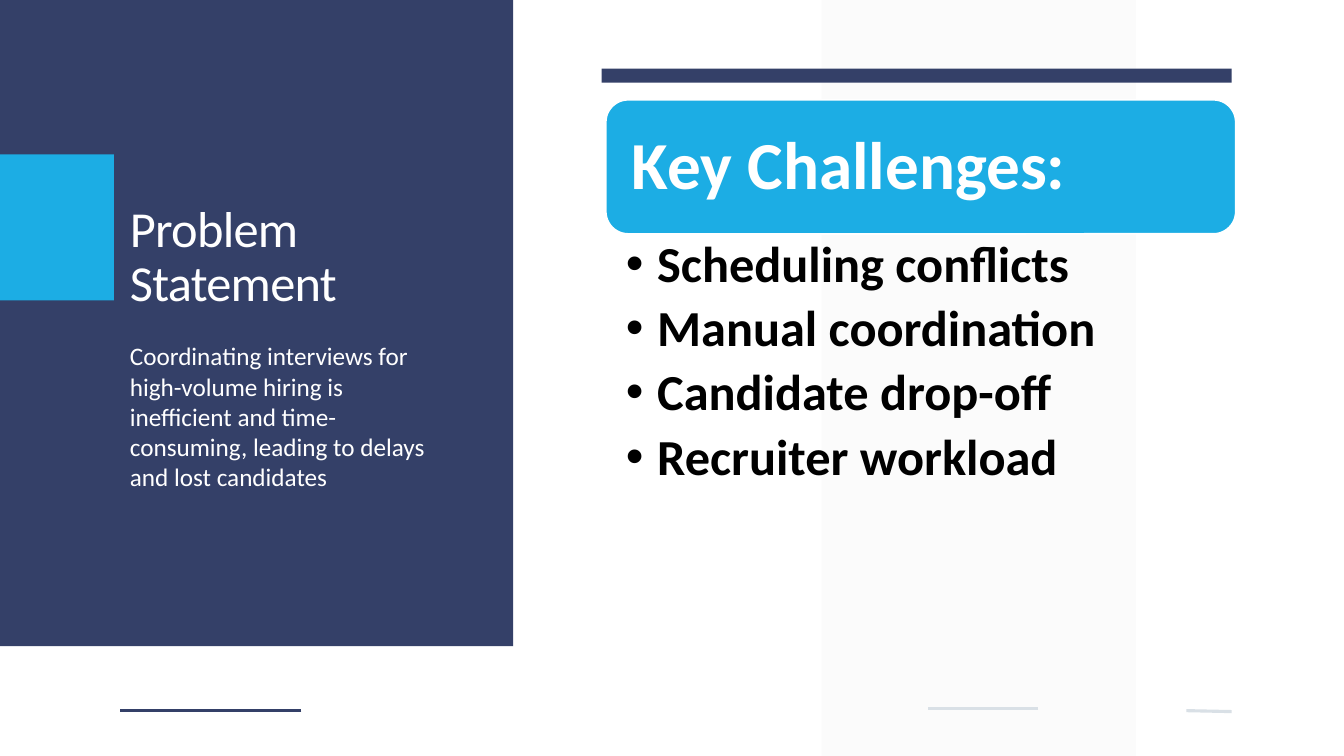
from lxml import etree
from pptx import Presentation
from pptx.dml.color import RGBColor
from pptx.enum.shapes import MSO_CONNECTOR, MSO_SHAPE
from pptx.enum.text import MSO_ANCHOR
from pptx.oxml.ns import qn
from pptx.util import Pt

RECTANGLE = MSO_SHAPE.RECTANGLE
ROUNDED = MSO_SHAPE.ROUNDED_RECTANGLE
STRAIGHT = MSO_CONNECTOR.STRAIGHT
TOP, MIDDLE, BOTTOM = MSO_ANCHOR.TOP, MSO_ANCHOR.MIDDLE, MSO_ANCHOR.BOTTOM

NAVY, CYAN, PALE, BAND = "344068", "1CADE4", "D9E0E6", "F2F2F2"
WHITE, BLACK = "FFFFFF", "000000"
CHALLENGES = ["Scheduling conflicts", "Manual coordination",
              "Candidate drop-off", "Recruiter workload"]


def color(hex_string):
    return RGBColor.from_string(hex_string)


def set_attributes(target, values):
    for name, value in values.items():
        setattr(target, name, value)


class SlideBuilder:
    font_name = "Calibri"
    line_width = 2.25

    def __init__(self, slide):
        self.slide = slide

    def block(self, left, top, width, height, fill, kind=RECTANGLE, opacity=None, outline=None):
        """Add a filled shape; opacity is a percentage."""
        shape = self.slide.shapes.add_shape(kind, Pt(left), Pt(top), Pt(width), Pt(height))
        shape.shadow.inherit = False
        shape.fill.solid()
        shape.fill.fore_color.rgb = color(fill)
        if opacity is not None:
            fill_color = shape.fill._xPr.find(qn("a:solidFill"))[0]
            etree.SubElement(fill_color, qn("a:alpha"), val=str(opacity * 1000))
        if outline:
            shape.line.color.rgb = color(outline)
            shape.line.width = Pt(1.25)
        else:
            shape.line.fill.background()
        return shape

    def rule(self, start_x, start_y, end_x, end_y, stroke):
        line = self.slide.shapes.add_connector(
            STRAIGHT, Pt(start_x), Pt(start_y), Pt(end_x), Pt(end_y))
        line.line.color.rgb = color(stroke)
        line.line.width = Pt(self.line_width)
        etree.SubElement(line._element.spPr, qn("a:effectLst"))

    def text(self, left, top, width, height, lines, size, fill, bold=False, anchor=TOP,
             insets=(7.2, 3.6, 7.2, 3.6), spacing=None, bullet_indent=None, tracking=None):
        """Add a text box with one paragraph per line; insets run left, top, right, bottom."""
        box = self.slide.shapes.add_textbox(Pt(left), Pt(top), Pt(width), Pt(height))
        frame = box.text_frame
        sides = ("margin_left", "margin_top", "margin_right", "margin_bottom")
        set_attributes(frame, {"word_wrap": True, "vertical_anchor": anchor,
                               **{side: Pt(inset) for side, inset in zip(sides, insets)}})
        for index, line in enumerate(lines):
            paragraph = frame.paragraphs[0] if index == 0 else frame.add_paragraph()
            set_attributes(paragraph, spacing or {})
            run = paragraph.add_run()
            run.text = line
            set_attributes(run.font, {"name": self.font_name, "size": Pt(size), "bold": bold})
            run.font.color.rgb = color(fill)
            if tracking is not None:
                run.font._element.set("spc", str(round(tracking * 100)))
            if bullet_indent:
                self.add_bullet(paragraph, bullet_indent)

    def add_bullet(self, paragraph, indent):
        properties = paragraph._p.get_or_add_pPr()
        properties.set("marL", str(Pt(indent)))
        properties.set("indent", str(-Pt(indent)))
        etree.SubElement(properties, qn("a:buFont"), typeface="Arial")
        etree.SubElement(properties, qn("a:buChar"), char="•")


def main():
    presentation = Presentation()
    set_attributes(presentation, {"slide_width": Pt(960), "slide_height": Pt(540)})
    builder = SlideBuilder(presentation.slides.add_slide(presentation.slide_layouts[6]))

    builder.block(586.8, 0, 224.64, 540, BAND, opacity=30)
    builder.block(0, 0, 366.5, 461.5, NAVY)
    builder.block(0, 110.2, 81.4, 104.4, CYAN)
    builder.block(429.8, 49, 450, 10, NAVY)
    builder.rule(215.3, 507.6, 85.7, 507.6, NAVY)
    builder.rule(741.6, 506.2, 663.1, 506.2, PALE)
    builder.rule(879.8, 508.3, 847.4, 507.6, PALE)

    builder.text(85.7, 61.9, 241.9, 164.9, ["Problem Statement"], 36, WHITE, anchor=BOTTOM,
                 spacing={"line_spacing": 0.9}, tracking=-0.5)
    builder.text(85.7, 239.8, 241.9, 208.1,
                 ["Coordinating interviews for high-volume hiring is inefficient and "
                  "time-consuming, leading to delays and lost candidates"], 18, WHITE,
                 spacing={"space_before": Pt(12), "space_after": Pt(2)})

    builder.block(432.7, 71.3, 450, 95.8, CYAN, ROUNDED, outline=WHITE)
    builder.text(437, 76.3, 440.6, 86.4, ["Key Challenges:"], 48, WHITE, bold=True,
                 anchor=MIDDLE, insets=(14.4,) * 4, spacing={"line_spacing": 0.9})
    builder.text(432.7, 167, 450, 195.8, CHALLENGES, 36, BLACK, bold=True,
                 insets=(14.4, 3.6, 20.2, 3.6), bullet_indent=22.3,
                 spacing={"line_spacing": 0.9, "space_after": Pt(7)})

    presentation.save("out.pptx")


if __name__ == "__main__":
    main()
